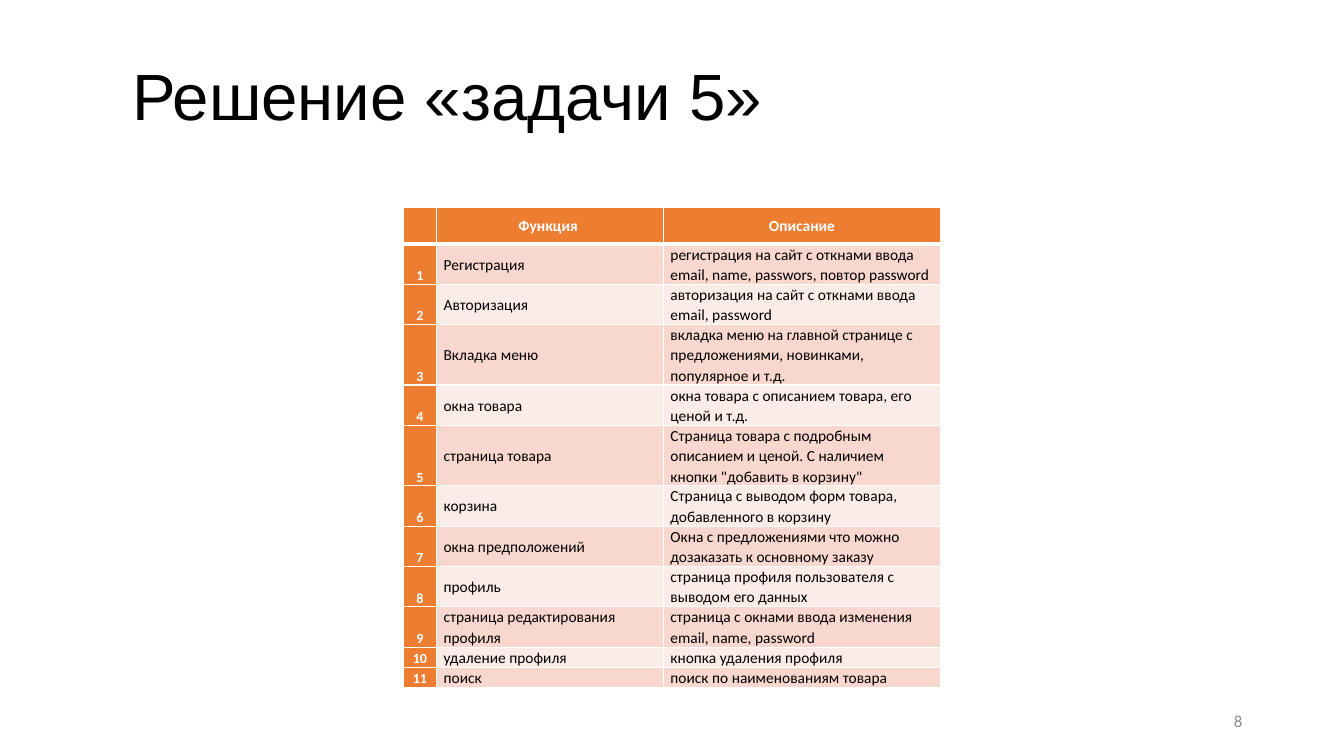
"""Build the slide with the table of shop functions for task 5."""
from lxml import etree
from pptx import Presentation
from pptx.dml.color import RGBColor
from pptx.enum.text import MSO_ANCHOR, MSO_AUTO_SIZE, PP_ALIGN
from pptx.oxml.ns import qn
from pptx.util import Inches, Pt

LEFT, CENTER, RIGHT = PP_ALIGN.LEFT, PP_ALIGN.CENTER, PP_ALIGN.RIGHT
MIDDLE, BOTTOM = MSO_ANCHOR.MIDDLE, MSO_ANCHOR.BOTTOM
NO_AUTOFIT = MSO_AUTO_SIZE.NONE
TITLE_ONLY = 5

TITLE = "Решение «задачи 5»"
PAGE_NUMBER = "8"
HEADER = ("", "Функция ", "Описание")
FUNCTIONS = [
    ("Регистрация", "регистрация на сайт с откнами ввода email, name, passwors, повтор password", 2),
    ("Авторизация", "авторизация на сайт с откнами ввода email, password", 2),
    ("Вкладка меню", "вкладка меню на главной странице с предложениями, новинками, популярное и т.д.", 3),
    ("окна товара", "окна товара с описанием товара, его ценой и т.д.", 2),
    ("страница товара", 'Страница товара с подробным описанием и ценой. С наличием кнопки "добавить в корзину"', 3),
    ("корзина", "Страница с выводом форм товара, добавленного в корзину", 2),
    ("окна предположений", "Окна с предложениями что можно дозаказать к основному заказу", 2),
    ("профиль", "страница профиля пользователя с выводом его данных", 2),
    ("страница редактирования профиля", "страница с окнами ввода изменения email, name, password", 2),
    ("удаление профиля", "кнопка удаления профиля", 1),
    ("поиск", "поиск по наименованиям товара", 1),
]

THEME = {
    "accent": "ED7D31",
    "bands": ("F8D7CE", "FCECE8"),
    "border": "FFFFFF",
    "title": {"name": "Arial", "size": Pt(46.7), "color": "000000", "bold": False},
    "page": {"name": "Calibri", "size": Pt(12), "color": "8C8C8C", "bold": False},
    "header": {"name": "Calibri", "size": Pt(11), "color": "FFFFFF", "bold": True},
    "number": {"name": "Calibri", "size": Pt(10), "color": "FFFFFF", "bold": True},
    "body": {"name": "Calibri", "size": Pt(11), "color": "000000", "bold": False},
}

TITLE_BOX = (1.21, 0.53, 11.9, 0.91)
PAGE_BOX = (9.42, 6.95, 3, 0.4)
TABLE_LEFT, TABLE_TOP = 4, 2.06
COLUMN_WIDTHS = (0.33, 2.25, 2.75)
HEADER_HEIGHT, LINE_HEIGHT = 0.36, 0.2
CELL_INSETS = {"margin_left": 0.07, "margin_right": 0.07, "margin_top": 0, "margin_bottom": 0}
THIN, THICK = Pt(1), Pt(3)


def write(frame, text, style, align, spacing):
    """Put one styled line of text into a text frame."""
    para = frame.paragraphs[0]
    para.alignment, para.line_spacing = align, spacing
    if not text:
        return
    span = para.add_run()
    span.text = text
    for key, value in style.items():
        if key == "color":
            span.font.color.rgb = RGBColor.from_string(value)
        else:
            setattr(span.font, key, value)


def add_borders(cell, widths):
    """Draw the left, right, top and bottom lines of a cell."""
    properties = cell._tc.get_or_add_tcPr()
    for index, (side, width) in enumerate(zip("LRTB", widths)):
        line = etree.Element(qn(f"a:ln{side}"), w=str(width))
        fill = etree.SubElement(line, qn("a:solidFill"))
        etree.SubElement(fill, qn("a:srgbClr"), val=THEME["border"])
        properties.insert(index, line)


def fill_cell(cell, text, style, align, anchor, color, widths):
    """Format one table cell and write its text."""
    for key, value in CELL_INSETS.items():
        setattr(cell, key, Inches(value))
    cell.vertical_anchor = anchor
    cell.fill.solid()
    cell.fill.fore_color.rgb = RGBColor.from_string(color)
    add_borders(cell, widths)
    write(cell.text_frame, text, THEME[style], align, 1.07)


def add_title(page):
    """Place and format the title placeholder."""
    box = page.shapes.title
    box.left, box.top, box.width, box.height = map(Inches, TITLE_BOX)
    frame = box.text_frame
    frame.auto_size, frame.vertical_anchor, frame.word_wrap = NO_AUTOFIT, MIDDLE, True
    write(frame, TITLE, THEME["title"], LEFT, 0.9)


def add_page_number(page):
    """Add the page number at the lower right."""
    frame = page.shapes.add_textbox(*map(Inches, PAGE_BOX)).text_frame
    frame.word_wrap, frame.vertical_anchor = True, MIDDLE
    write(frame, PAGE_NUMBER, THEME["page"], RIGHT, 1.0)


def add_function_table(page):
    """Add the numbered table of functions with banded rows."""
    heights = [HEADER_HEIGHT] + [LINE_HEIGHT * lines for *_, lines in FUNCTIONS]
    area = (TABLE_LEFT, TABLE_TOP, sum(COLUMN_WIDTHS), sum(heights))
    table = page.shapes.add_table(len(heights), len(COLUMN_WIDTHS), *map(Inches, area)).table
    for column, width in zip(table.columns, COLUMN_WIDTHS):
        column.width = Inches(width)
    for row, height in zip(table.rows, heights):
        row.height = Inches(height)

    for column, text in enumerate(HEADER):
        fill_cell(table.cell(0, column), text, "header", CENTER, MIDDLE,
                  THEME["accent"], (THIN, THIN, THIN, THICK))
    for number, (name, description, _) in enumerate(FUNCTIONS, 1):
        widths = (THIN, THIN, THICK if number == 1 else THIN, THIN)
        band = THEME["bands"][(number - 1) % 2]
        fill_cell(table.cell(number, 0), str(number), "number", CENTER, BOTTOM,
                  THEME["accent"], widths)
        for column, text in enumerate((name, description), 1):
            fill_cell(table.cell(number, column), text, "body", LEFT, MIDDLE, band, widths)


def main():
    """Create the deck and save it."""
    deck = Presentation()
    deck.slide_width, deck.slide_height = Inches(13.33), Inches(7.5)
    page = deck.slides.add_slide(deck.slide_layouts[TITLE_ONLY])
    add_title(page)
    add_page_number(page)
    add_function_table(page)
    deck.save("out.pptx")


if __name__ == "__main__":
    main()
